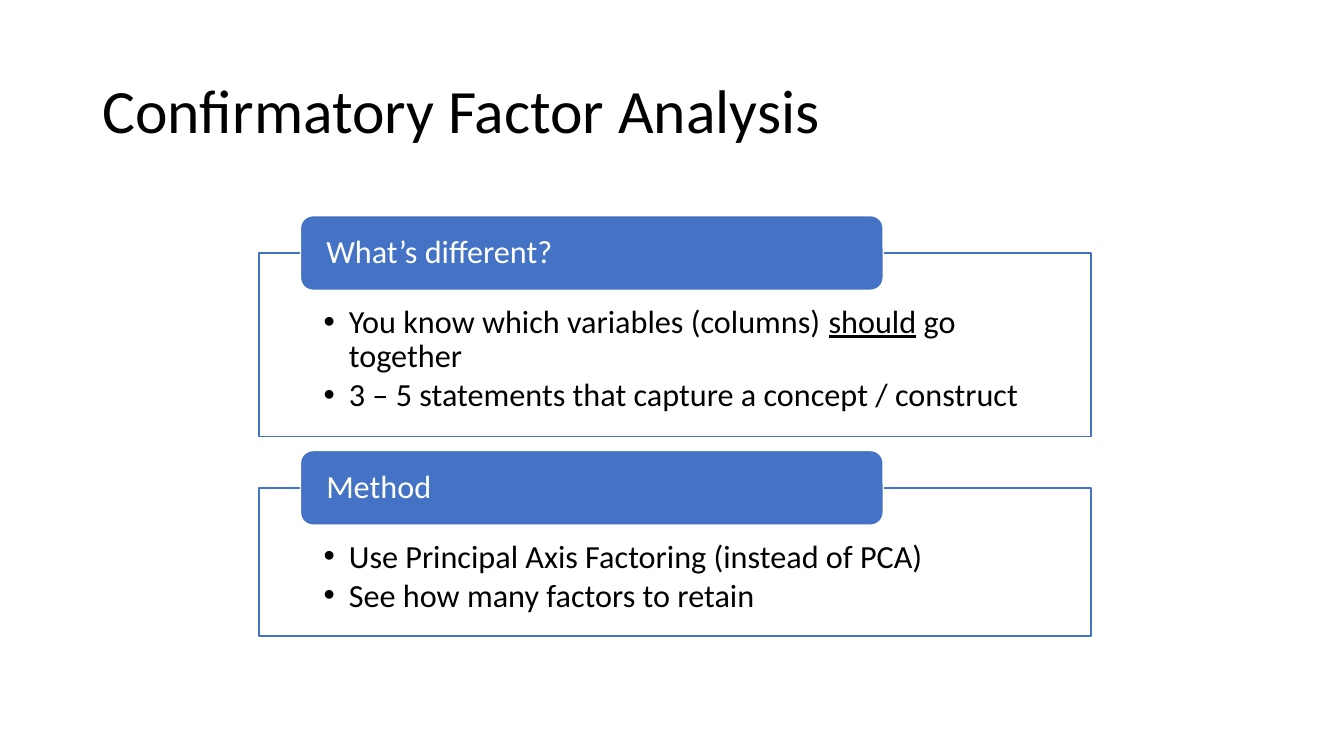
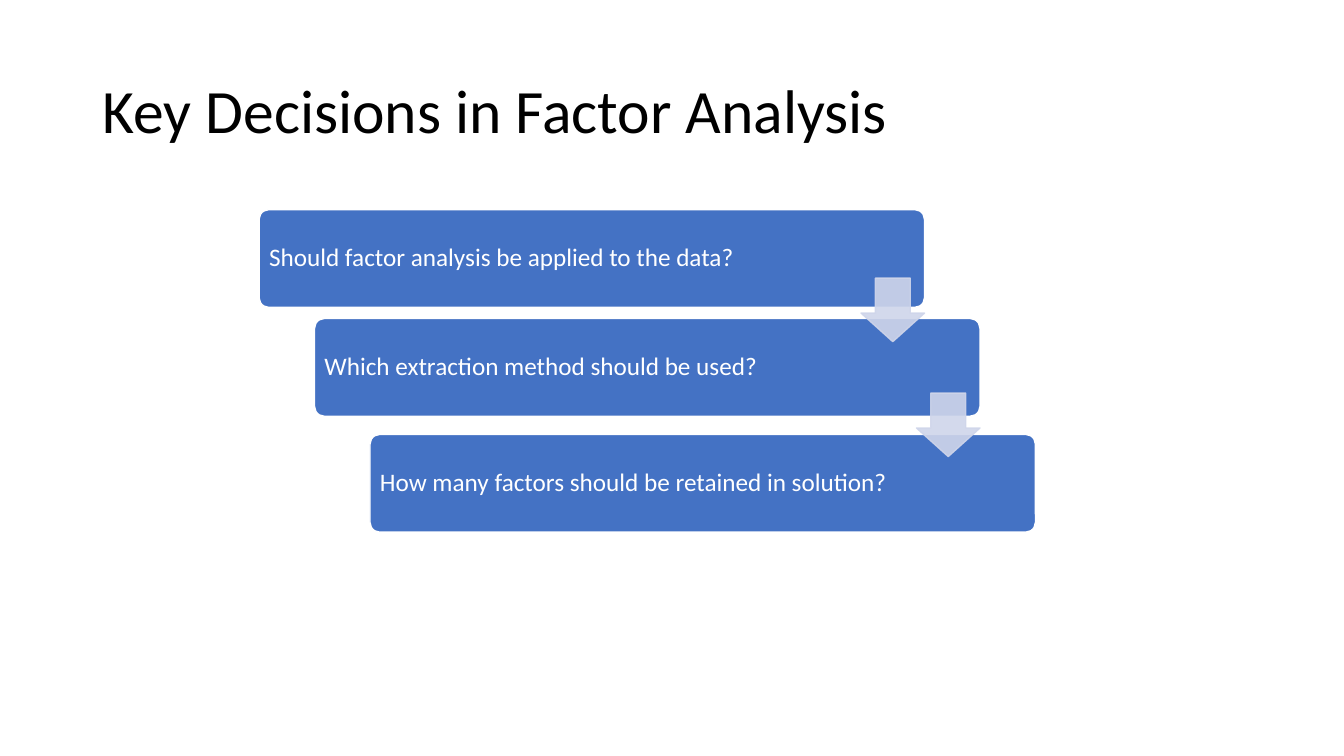
import pptx
import pptx.util
import pptx.dml.color
import pptx.enum.shapes
import pptx.enum.text
import pptx.oxml.ns
from lxml import etree

Inches = pptx.util.Inches
Pt = pptx.util.Pt
RGBColor = pptx.dml.color.RGBColor
Kind = pptx.enum.shapes.MSO_SHAPE
Anchor = pptx.enum.text.MSO_ANCHOR

BLUE = RGBColor(0x44, 0x72, 0xC4)
PALE_BLUE = RGBColor(0xCF, 0xD5, 0xEA)
WHITE = RGBColor(0xFF, 0xFF, 0xFF)
BLACK = RGBColor(0x00, 0x00, 0x00)
FONT = "Calibri"

SLIDE_SIZE = (13.33, 7.5)
TITLE_BOX = (0.92, 0.4, 11.5, 1.45)
LEFT = 2.57

# Panels: heading, number of text lines, bullets made of (text, underlined) runs
CFA_TITLE = "Confirmatory Factor Analysis"
PANELS = [
    ("What’s different?", 3, [
        [("You know which variables (columns) ", False), ("should", True),
         (" go together", False)],
        [("3 – 5 statements that capture a concept / construct", False)],
    ]),
    ("Method", 2, [
        [("Use Principal Axis Factoring (instead of PCA)", False)],
        [("See how many factors to retain", False)],
    ]),
]
PANEL_WIDTH = 8.25
PANEL_PADDING, LINE_HEIGHT = 0.77, 0.35
TAB_INDENT, TAB_WIDTH, TAB_HEIGHT = 0.41, 5.78, 0.74
TABS_TOP, PANEL_GAP = 2.14, 0.14

# Steps: question, top of box, top of the arrow to the next step
DECISIONS_TITLE = "Key Decisions in Factor Analysis"
STEPS = [
    ("Should factor analysis be applied to the data?", 2.08, 2.76),
    ("Which extraction method should be used?", 3.16, 3.9),
    ("How many factors should be retained in solution?", 4.31, None),
]
STEP_WIDTH, STEP_HEIGHT, STEP_INDENT = 6.6, 0.97, 0.55
ARROW_SIZE = 0.63


def add_text(shape, paragraphs, size, color, insets, anchor=Anchor.MIDDLE, bullets=False):
    """Fill a shape with paragraphs, each a list of (text, underlined) runs."""
    frame = shape.text_frame
    frame.word_wrap = True
    frame.vertical_anchor = anchor
    for side, inset in zip(("left", "top", "right", "bottom"), insets):
        setattr(frame, f"margin_{side}", Inches(inset))
    for index, runs in enumerate(paragraphs):
        paragraph = frame.paragraphs[0] if index == 0 else frame.add_paragraph()
        paragraph.alignment = pptx.enum.text.PP_ALIGN.LEFT
        paragraph.line_spacing = 0.9
        if bullets:
            paragraph.space_after = Pt(3)
            add_bullet(paragraph)
        for text, underlined in runs:
            run = paragraph.add_run()
            run.text = text
            run.font.color.rgb = color
            style = {"name": FONT, "size": Pt(size), "underline": underlined}
            for name, value in style.items():
                setattr(run.font, name, value)


def add_bullet(paragraph):
    properties = paragraph._p.get_or_add_pPr()
    properties.set("marL", str(Inches(0.25)))
    properties.set("indent", str(-Inches(0.25)))
    for tag, attribute, value in (("a:buFont", "typeface", "Arial"), ("a:buChar", "char", "•")):
        etree.SubElement(properties, pptx.oxml.ns.qn(tag)).set(attribute, value)


def add_block(slide, kind, box, fill, line, adjustments=()):
    shape = slide.shapes.add_shape(kind, *map(Inches, box))
    shape.shadow.inherit = False
    shape.fill.solid()
    shape.fill.fore_color.rgb = fill
    shape.line.color.rgb = line
    shape.line.width = Pt(1)
    for index, value in enumerate(adjustments):
        shape.adjustments[index] = value
    return shape


def set_opacity(shape, percent):
    for color in shape._element.spPr.iter(pptx.oxml.ns.qn("a:srgbClr")):
        alpha = etree.SubElement(color, pptx.oxml.ns.qn("a:alpha"))
        alpha.set("val", str(percent * 1000))


def add_titled_slide(presentation, title):
    slide = presentation.slides.add_slide(presentation.slide_layouts[6])
    box = slide.shapes.add_textbox(*map(Inches, TITLE_BOX))
    add_text(box, [[(title, False)]], 44, BLACK, (0.1, 0.05, 0.1, 0.05))
    return slide


def build_panels(slide):
    tab_top = TABS_TOP
    for heading, lines, bullets in PANELS:
        panel_top = tab_top + TAB_HEIGHT / 2
        height = PANEL_PADDING + LINE_HEIGHT * lines
        panel = add_block(slide, Kind.RECTANGLE, (LEFT, panel_top, PANEL_WIDTH, height),
                          WHITE, BLUE)
        add_text(panel, bullets, 23, BLACK, (0.64, 0.52, 0.64, 0.18), Anchor.TOP, True)
        tab = add_block(slide, Kind.ROUNDED_RECTANGLE,
                        (LEFT + TAB_INDENT, tab_top, TAB_WIDTH, TAB_HEIGHT), BLUE, WHITE)
        add_text(tab, [[(heading, False)]], 23, WHITE, (0.22, 0, 0.22, 0))
        tab_top = panel_top + height + PANEL_GAP


def build_steps(slide):
    arrows = []
    for index, (question, top, arrow_top) in enumerate(STEPS):
        left = LEFT + index * STEP_INDENT
        step = add_block(slide, Kind.ROUNDED_RECTANGLE, (left, top, STEP_WIDTH, STEP_HEIGHT),
                         BLUE, WHITE, (0.1,))
        add_text(step, [[(question, False)]], 18, WHITE, (0.07, 0.07, 1, 0.07))
        if arrow_top is not None:
            arrows.append((left + STEP_WIDTH - ARROW_SIZE, arrow_top, ARROW_SIZE, ARROW_SIZE))
    for box in arrows:
        # The adjustments are head length, then shaft width
        arrow = add_block(slide, Kind.DOWN_ARROW, box, PALE_BLUE, PALE_BLUE, (0.55, 0.45))
        set_opacity(arrow, 90)


def main():
    presentation = pptx.Presentation()
    presentation.slide_width, presentation.slide_height = map(Inches, SLIDE_SIZE)
    build_panels(add_titled_slide(presentation, CFA_TITLE))
    build_steps(add_titled_slide(presentation, DECISIONS_TITLE))
    presentation.save("out.pptx")


if __name__ == "__main__":
    main()
